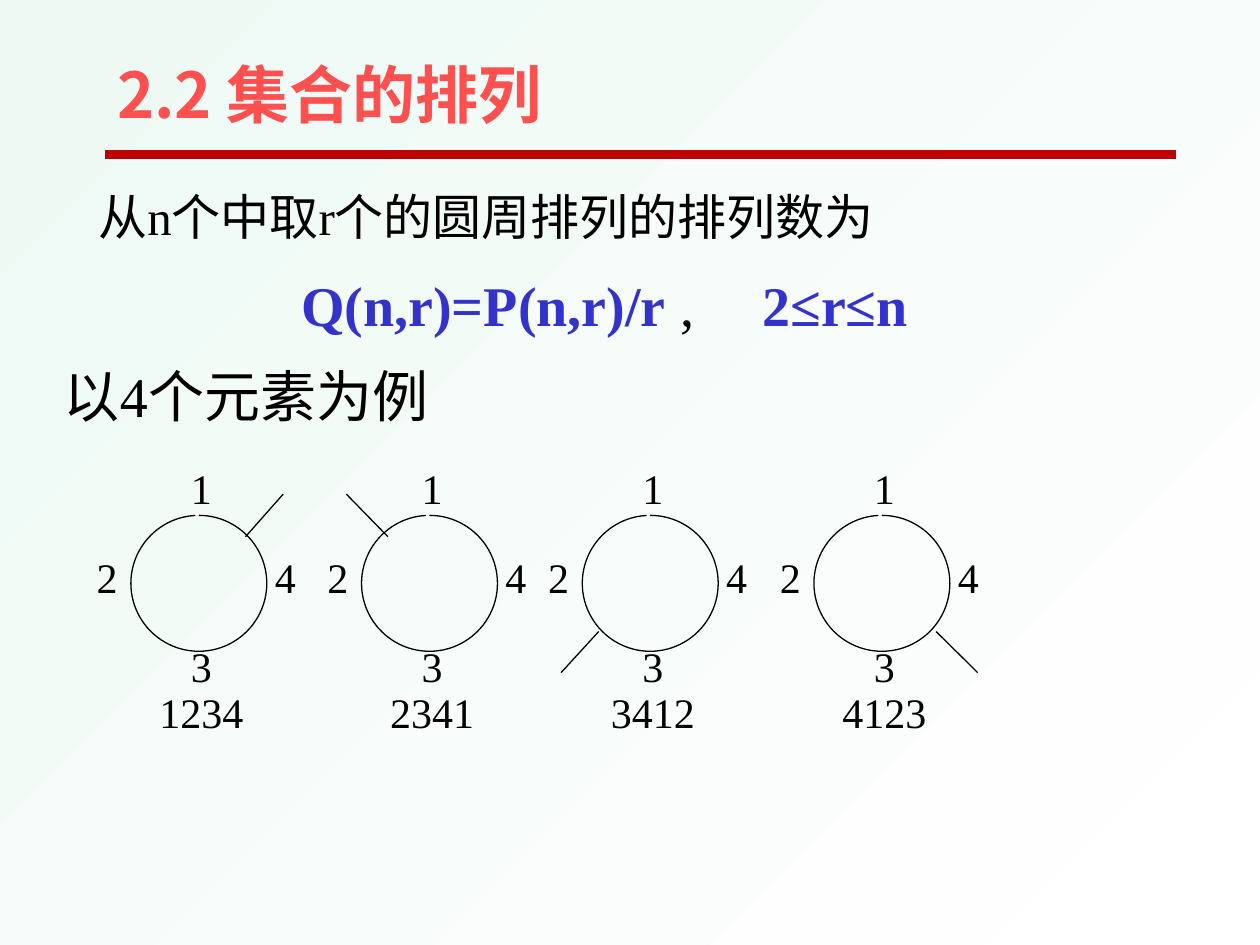
from lxml.etree import SubElement
from pptx import Presentation
from pptx.dml.color import RGBColor
from pptx.enum.shapes import MSO_CONNECTOR, MSO_SHAPE
from pptx.enum.text import MSO_ANCHOR, MSO_AUTO_SIZE, PP_ALIGN
from pptx.oxml.ns import qn
from pptx.util import Cm, Pt

COLORS = {
    "red": "FF5050", "rule": "C00000", "blue": "3333CC",
    "black": "000000", "mint": "EEF9F4", "white": "FFFFFF",
}
SERIF = "Times New Roman"
SANS = "Noto Sans CJK SC"

# Box left, digits read around the circle, cut start and end from the centre (cm)
RINGS = [
    (1.7, "1234", (1.7, -1.8), (0.94, -0.94)),
    (6.35, "2341", (-1.68, -1.8), (-0.84, -0.94)),
    (10.8, "3412", (-1.04, 0.97), (-1.8, 1.8)),
    (15.47, "4123", (1.09, 0.97), (1.93, 1.8)),
]
TOP, MID, RADIUS = 9.32, 11.76, 1.37
BOX_W, BOX_H, CENTER = 4.72, 5.74, 2.31


def rgb(name):
    return RGBColor.from_string(COLORS[name])


def write(para, text, size=24, font=SERIF, color="black", bold=False):
    run = para.add_run()
    run.text = text
    run.font.size = Pt(size)
    run.font.name = font
    run.font.bold = bold
    run.font.color.rgb = rgb(color)
    SubElement(run.font._element, qn("a:ea"), typeface=SANS)


def set_tab(para, pos):
    """Add one left tab stop; call it after the paragraph spacing is set."""
    tabs = SubElement(para._p.get_or_add_pPr(), qn("a:tabLst"))
    SubElement(tabs, qn("a:tab"), pos=str(Cm(pos)), algn="l")


def place(shape, left, top, width, height):
    shape.left, shape.top = Cm(left), Cm(top)
    shape.width, shape.height = Cm(width), Cm(height)


def add_box(shapes, left, top, width, height):
    box = shapes.add_textbox(Cm(left), Cm(top), Cm(width), Cm(height))
    box.text_frame.word_wrap = True
    return box.text_frame


def add_line(shapes, start, end, color="black", width=0.75):
    line = shapes.add_connector(MSO_CONNECTOR.STRAIGHT,
                                *(Cm(v) for v in (*start, *end)))
    line.line.color.rgb = rgb(color)
    line.line.width = Pt(width)
    SubElement(line._element.spPr, qn("a:effectLst"))


def add_circle(shapes, x, y, radius):
    """Draw a circle left open by three degrees at its top."""
    arc = shapes.add_shape(MSO_SHAPE.ARC, Cm(x - radius), Cm(y - radius),
                           Cm(2 * radius), Cm(2 * radius))
    arc.adjustments[0] = 270 * 0.6
    arc.adjustments[1] = 267 * 0.6
    arc.shadow.inherit = False
    arc.fill.background()
    arc.line.color.rgb = rgb("black")
    arc.line.width = Pt(0.75)


def add_labels(shapes, left, digits):
    frame = add_box(shapes, left, TOP, BOX_W, BOX_H)
    rows = [("1", 0), ("2\t4", 25), ("3", 25), (digits, 0)]
    for i, (text, gap) in enumerate(rows):
        para = frame.paragraphs[0] if i == 0 else frame.add_paragraph()
        para.line_spacing = 0.9
        para.space_before = Pt(gap)
        if "\t" in text:
            para.alignment = PP_ALIGN.LEFT
            set_tab(para, 3.59)
        else:
            para.alignment = PP_ALIGN.CENTER
        write(para, text)


def add_ring(slide, left, digits, start, end):
    shapes = slide.shapes.add_group_shape().shapes
    x = left + CENTER
    add_labels(shapes, left, digits)
    add_line(shapes, *((x + dx, MID + dy) for dx, dy in (start, end)))
    add_circle(shapes, x, MID, RADIUS)


def fill_back(slide):
    fill = slide.background.fill
    fill.gradient()
    fill.gradient_angle = 315
    for stop, name, pos in zip(fill.gradient_stops, ("mint", "white"), (0, 1)):
        stop.color.rgb = rgb(name)
        stop.position = pos


def fill_title(title):
    place(title, 2.11, 0.71, 10.6, 2.34)
    frame = title.text_frame
    frame.auto_size = MSO_AUTO_SIZE.NONE
    frame.vertical_anchor = MSO_ANCHOR.MIDDLE
    para = frame.paragraphs[0]
    para.alignment = PP_ALIGN.LEFT
    write(para, "2.2 集合的排列", size=36, font=SANS, color="red", bold=True)


def fill_body(body):
    place(body, 1.73, 3.63, 20.96, 1.7)
    body.text_frame.auto_size = MSO_AUTO_SIZE.NONE
    para = body.text_frame.paragraphs[0]
    para.space_before = Pt(7)
    props = para._p.get_or_add_pPr()
    props.set("marL", "0")
    props.set("indent", "0")
    SubElement(props, qn("a:buNone"))
    write(para, "从n个中取r个的圆周排列的排列数为", size=28)


def add_formula(slide):
    para = add_box(slide.shapes, 5.82, 5.33, 13.7, 1.63).paragraphs[0]
    para.space_before = Pt(8)
    set_tab(para, 9.3)
    write(para, "Q(n,r)=P(n,r)/r", size=32, color="blue", bold=True)
    write(para, " ,\t", size=32)
    write(para, "2≤r≤n", size=32, color="blue", bold=True)


def add_lead(slide):
    para = add_box(slide.shapes, 1.04, 7.32, 9, 1.47).paragraphs[0]
    para.line_spacing = 0.9
    write(para, "以4个元素为例", size=32)


def main():
    deck = Presentation()
    deck.slide_width, deck.slide_height = Cm(25.4), Cm(19.05)
    slide = deck.slides.add_slide(deck.slide_layouts[1])
    fill_back(slide)
    add_line(slide.shapes, (2.11, 3.12), (23.7, 3.12), "rule", 5)
    fill_title(slide.shapes.title)
    fill_body(slide.placeholders[1])
    for ring in RINGS:
        add_ring(slide, *ring)
    add_lead(slide)
    add_formula(slide)
    deck.save("out.pptx")


if __name__ == "__main__":
    main()
